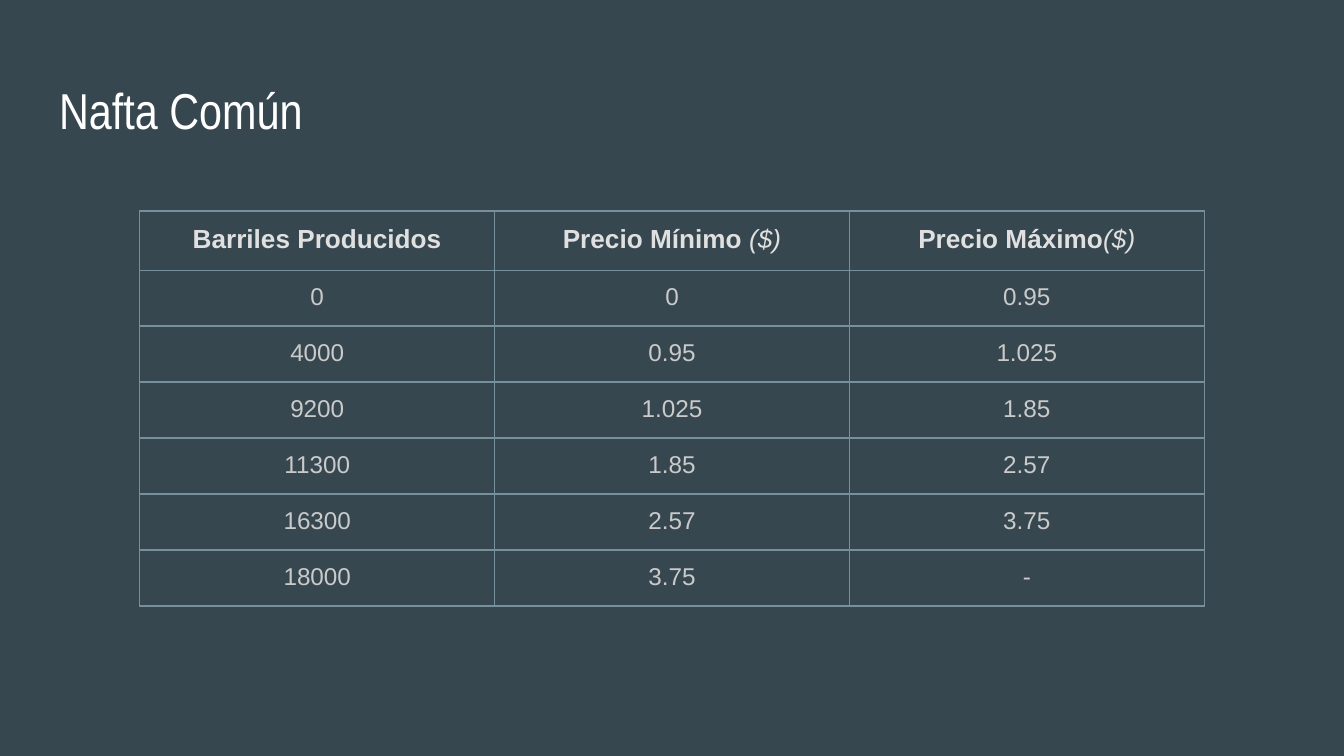
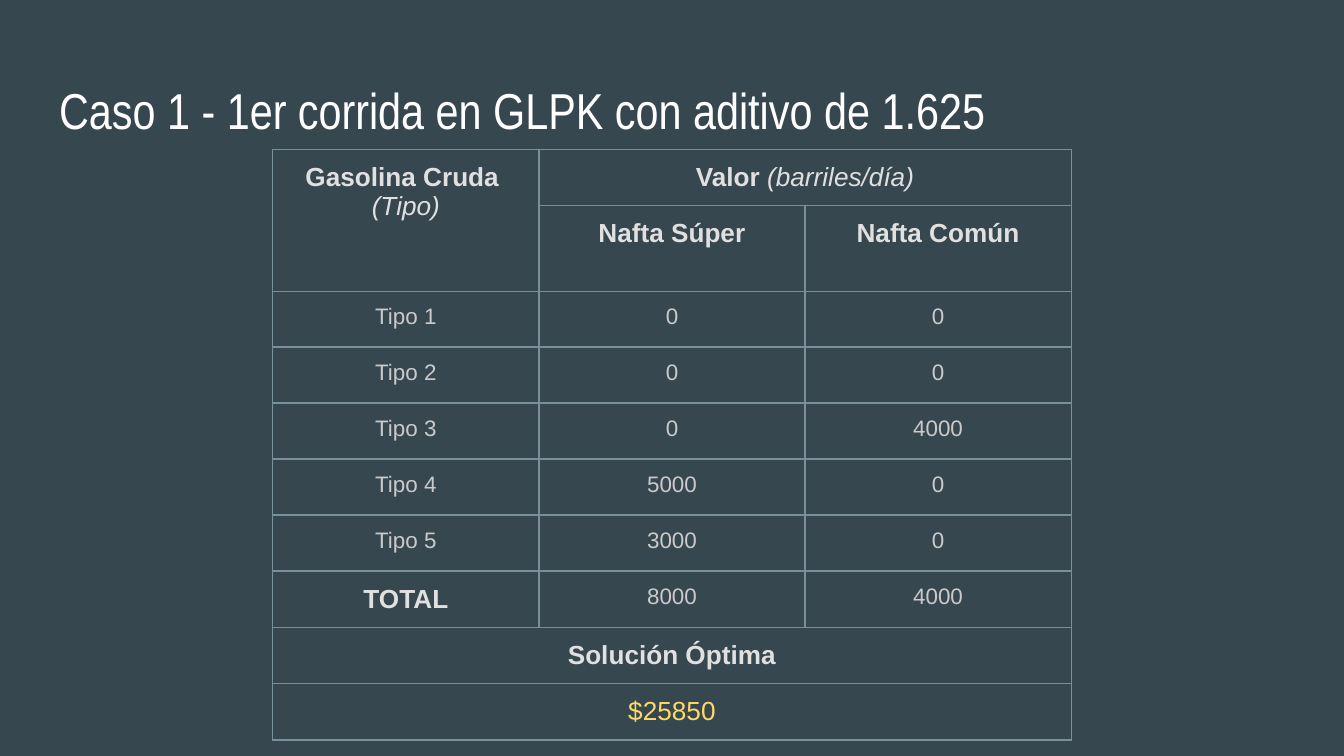
"""Builds two dark slides, each with a title and a bordered table."""
from dataclasses import dataclass
from typing import NamedTuple

import lxml.etree
import pptx
import pptx.dml.color
import pptx.enum.text
import pptx.oxml.ns
import pptx.util

Inches = pptx.util.Inches
Pt = pptx.util.Pt

COLORS = {
    "background": "37474F",
    "title": "FFFFFF",
    "heading": "E0E0E0",
    "value": "CACACA",
    "result": "FFD966",
    "border": "78909C",
}
TITLE_FONT = "Arial Narrow"
BODY_FONT = "Arial"
SLIDE_WIDTH = 10
SLIDE_HEIGHT = SLIDE_WIDTH * 9 / 16
MARGIN = 0.1
ROW_HEIGHT = 5 / 12


class Run(NamedTuple):
    text: str
    size: float
    color: str
    bold: bool = False
    italic: bool = False
    font: str = BODY_FONT


class Merge(NamedTuple):
    first: tuple[int, int]
    last: tuple[int, int]


Cell = list[list[Run]]


@dataclass
class TableSlide:
    title: str
    left: float
    top: float
    column_width: float
    rows: list[list[Cell | None]]
    merges: tuple[Merge, ...] = ()
    header_height: float = ROW_HEIGHT


def bold(text: str) -> Run:
    return Run(text, 14, "heading", bold=True)


def unit(text: str) -> Run:
    return Run(text, 14, "heading", italic=True)


def heading(*runs: Run) -> Cell:
    return [list(runs)]


def value(text: str, size: float) -> Cell:
    return [[Run(text, size, "value")]]


def values(lines: list[str], size: float) -> list[list[Cell]]:
    return [[value(text, size) for text in line.split("|")] for line in lines]


def rgb(name: str) -> pptx.dml.color.RGBColor:
    return pptx.dml.color.RGBColor.from_string(COLORS[name])


def add_run(p, run: Run) -> None:
    r = p.add_run()
    r.text = run.text
    r.font.name = run.font
    r.font.size = Pt(run.size)
    r.font.bold = run.bold
    r.font.italic = run.italic
    r.font.color.rgb = rgb(run.color)


def set_margins(box) -> None:
    for side in ("left", "right", "top", "bottom"):
        setattr(box, f"margin_{side}", Inches(MARGIN))


def add_title(s, text: str) -> None:
    sp = s.shapes.title
    sp.left, sp.top = Inches(0.34), Inches(0.49)
    sp.width, sp.height = Inches(9.32), Inches(0.63)
    tf = sp.text_frame
    tf.word_wrap = True
    tf.auto_size = pptx.enum.text.MSO_AUTO_SIZE.NONE
    tf.vertical_anchor = pptx.enum.text.MSO_ANCHOR.TOP
    set_margins(tf)
    p = tf.paragraphs[0]
    p.alignment = pptx.enum.text.PP_ALIGN.LEFT
    add_run(p, Run(text, 27, "title", font=TITLE_FONT))


def set_borders(cell) -> None:
    qn = pptx.oxml.ns.qn
    props = cell._tc.get_or_add_tcPr()
    for side in ("lnL", "lnR", "lnT", "lnB"):
        line = lxml.etree.SubElement(props, qn(f"a:{side}"), w=str(Pt(0.75)))
        fill = lxml.etree.SubElement(line, qn("a:solidFill"))
        lxml.etree.SubElement(fill, qn("a:srgbClr"), val=COLORS["border"])


def fill_cell(cell, content: Cell | None) -> None:
    set_margins(cell)
    set_borders(cell)
    cell.fill.background()
    tf = cell.text_frame
    for i, runs in enumerate(content or []):
        p = tf.add_paragraph() if i else tf.paragraphs[0]
        p.alignment = pptx.enum.text.PP_ALIGN.CENTER
        for run in runs:
            add_run(p, run)


def add_table(s, data: TableSlide) -> None:
    n_rows, n_cols = len(data.rows), len(data.rows[0])
    heights = [data.header_height] + [ROW_HEIGHT] * (n_rows - 1)
    table = s.shapes.add_table(
        n_rows, n_cols, Inches(data.left), Inches(data.top),
        Inches(data.column_width * n_cols), Inches(sum(heights)),
    ).table
    table.first_row = False
    table.horz_banding = False
    for column in table.columns:
        column.width = Inches(data.column_width)
    for row, height in zip(table.rows, heights):
        row.height = Inches(height)
    for merge in data.merges:
        table.cell(*merge.first).merge(table.cell(*merge.last))
    for i, line in enumerate(data.rows):
        for j, content in enumerate(line):
            fill_cell(table.cell(i, j), content)


def add_slide(prs, data: TableSlide) -> None:
    s = prs.slides.add_slide(prs.slide_layouts[5])
    s.background.fill.solid()
    s.background.fill.fore_color.rgb = rgb("background")
    add_title(s, data.title)
    add_table(s, data)


PRICES = TableSlide(
    title="Nafta Común",
    left=1.04,
    top=1.57,
    column_width=2.64,
    header_height=0.44,
    rows=[
        [
            heading(bold("Barriles Producidos")),
            heading(bold("Precio Mínimo "), unit("($)")),
            heading(bold("Precio Máximo"), unit("($)")),
        ],
        *values(
            [
                "0|0|0.95",
                "4000|0.95|1.025",
                "9200|1.025|1.85",
                "11300|1.85|2.57",
                "16300|2.57|3.75",
                "18000|3.75|-",
            ],
            13,
        ),
    ],
)

FIRST_RUN = TableSlide(
    title="Caso 1 - 1er corrida en GLPK con aditivo de 1.625",
    left=2.03,
    top=1.11,
    column_width=1.98,
    rows=[
        [
            [[bold("Gasolina Cruda ")], [unit("(Tipo)")]],
            heading(bold("Valor "), unit("(barriles/día)")),
            None,
        ],
        [None, heading(bold("Nafta Súper")), heading(bold("Nafta Común"))],
        *values(
            [
                "Tipo 1|0|0",
                "Tipo 2|0|0",
                "Tipo 3|0|4000",
                "Tipo 4|5000|0",
                "Tipo 5|3000|0",
            ],
            12,
        ),
        [heading(bold("TOTAL")), value("8000", 12), value("4000", 12)],
        [heading(bold("Solución Óptima")), None, None],
        [heading(Run("$25850", 14, "result")), None, None],
    ],
    merges=(
        Merge((0, 0), (1, 0)),
        Merge((0, 1), (0, 2)),
        Merge((8, 0), (8, 2)),
        Merge((9, 0), (9, 2)),
    ),
)


def main() -> None:
    prs = pptx.Presentation()
    prs.slide_width = Inches(SLIDE_WIDTH)
    prs.slide_height = Inches(SLIDE_HEIGHT)
    for data in (PRICES, FIRST_RUN):
        add_slide(prs, data)
    prs.save("out.pptx")


if __name__ == "__main__":
    main()
